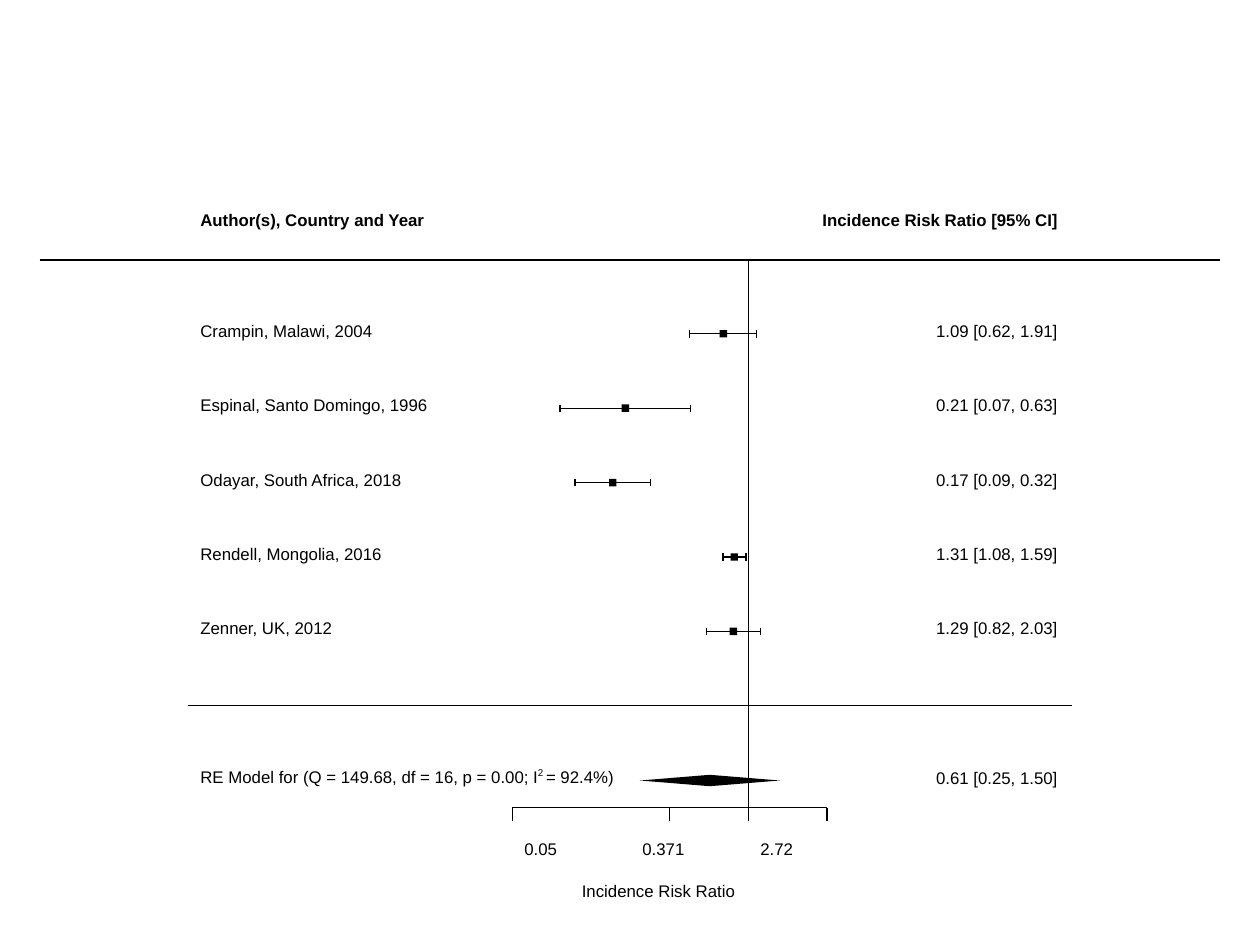
"""Forest plot of incidence risk ratios from five studies."""
from math import log
from lxml import etree
from pptx import Presentation
from pptx.dml.color import RGBColor
from pptx.enum.shapes import MSO_CONNECTOR, MSO_SHAPE
from pptx.oxml.ns import qn
from pptx.util import Cm, Pt

STRAIGHT = MSO_CONNECTOR.STRAIGHT
RECTANGLE, DIAMOND = MSO_SHAPE.RECTANGLE, MSO_SHAPE.DIAMOND
BLACK = RGBColor.from_string("000000")
LABEL_X, RATIO_X = 4.04, 18.87
HEAD_Y, AXIS_Y = 5.24, 16.28
FIRST_ROW, ROW_STEP = 6.73, 1.5
MARK = 0.15
STUDIES = [
    ("Crampin, Malawi, 2004", 1.09, 0.62, 1.91),
    ("Espinal, Santo Domingo, 1996", 0.21, 0.07, 0.63),
    ("Odayar, South Africa, 2018", 0.17, 0.09, 0.32),
    ("Rendell, Mongolia, 2016", 1.31, 1.08, 1.59),
    ("Zenner, UK, 2012", 1.29, 0.82, 2.03),
]

prs = Presentation()
prs.slide_width, prs.slide_height = Cm(25.4), Cm(19.05)
s = prs.slides.add_slide(prs.slide_layouts[6])


def add_line(x1, y1, x2, y2):
    sp = s.shapes.add_connector(STRAIGHT, Cm(x1), Cm(y1), Cm(x2), Cm(y2))
    sp.line.color.rgb = BLACK
    sp.line.width = Pt(0.75)
    etree.SubElement(sp._element.spPr, qn("a:effectLst"))


def add_text(x, y, w, text, bold=False):
    sp = s.shapes.add_textbox(Cm(x), Cm(y), Cm(w), Cm(0.46))
    tf = sp.text_frame
    tf.word_wrap = True
    tf.margin_left = tf.margin_right = tf.margin_bottom = 0
    tf.margin_top = Cm(0.03)
    p = tf.paragraphs[0]
    p.text = text
    p.space_before = Pt(1.1)
    p.font.name, p.font.size, p.font.bold = "Arial", Pt(9.6), bold
    p.font.color.rgb = BLACK
    return p


add_line(0.8, HEAD_Y, 24.6, HEAD_Y)
add_line(15.09, HEAD_Y, 15.09, AXIS_Y)
add_line(3.78, 14.22, 21.62, 14.22)
add_text(LABEL_X, 4.19, 5, "Author(s), Country and Year", True)
add_text(16.58, 4.19, 5.2, "Incidence Risk Ratio [95% CI]", True)

marks = [(RECTANGLE, 0, 0, 0, 0)][:0]
for i, (study, ratio, low, high) in enumerate(STUDIES):
    y = FIRST_ROW + i * ROW_STEP
    mid, left, right = (14.48 + 1.2 * log(v) for v in (ratio, low, high))
    add_line(left, y, right, y)
    for x in (left, right):
        add_line(x, y - MARK / 2, x, y + MARK / 2)
    marks.append((RECTANGLE, mid - MARK / 2, y - MARK / 2, MARK, MARK))
    add_text(LABEL_X, y - 0.3, 5.5, study)
    add_text(RATIO_X, y - 0.3, 2.8, f"{ratio:.2f} [{low:.2f}, {high:.2f}]")

marks.append((DIAMOND, 12.9, 15.62, 2.82, 0.23))
for kind, x, y, w, h in marks:
    sp = s.shapes.add_shape(kind, Cm(x), Cm(y), Cm(w), Cm(h))
    sp.shadow.inherit = False
    sp.fill.solid()
    sp.fill.fore_color.rgb = BLACK
    sp.line.fill.background()

p = add_text(LABEL_X, 15.42, 8.7, "RE Model for (Q = 149.68, df = 16, p = 0.00; I")
r = p.add_run()
r.text = "2 "
r.font._element.set("baseline", "42000")
p.add_run().text = "= 92.4%)"
add_text(RATIO_X, 15.44, 2.8, "0.61 [0.25, 1.50]")

add_line(10.33, AXIS_Y, 16.67, AXIS_Y)
for x in (10.33, 13.5, 15.09, 16.67):
    add_line(x, AXIS_Y, x, AXIS_Y + 0.27)
for i, tick in enumerate(("0.05", "0.371", "2.72")):
    add_text(10.57 + i * 2.38, 16.87, 1.2, tick)
add_text(11.73, 17.72, 3.4, "Incidence Risk Ratio")

prs.save("out.pptx")
